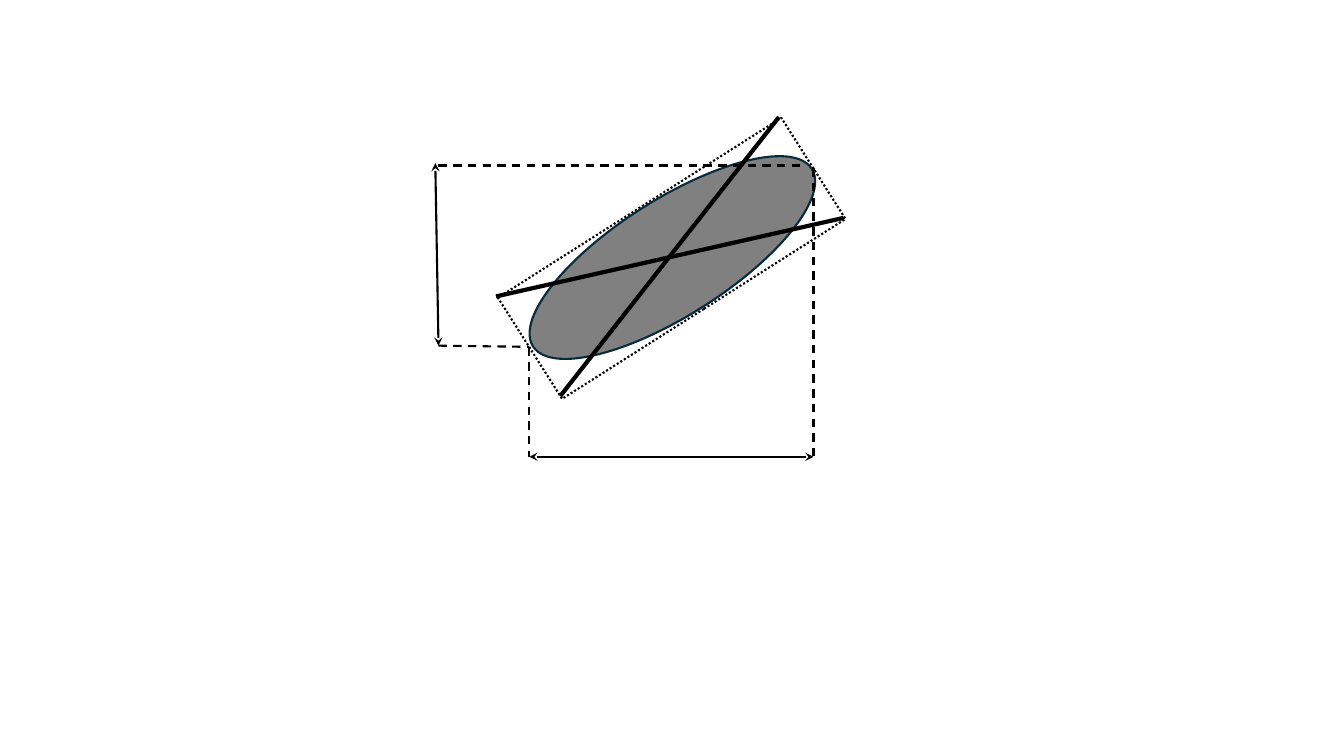
from pptx import Presentation
from pptx.dml.color import RGBColor
from pptx.enum.dml import MSO_LINE
from pptx.enum.shapes import MSO_CONNECTOR, MSO_SHAPE
from pptx.oxml.ns import qn
from pptx.util import Cm, Pt
from lxml.etree import SubElement


def set_line(line, color, width, dash=None):
    line.color.rgb = RGBColor.from_string(color)
    line.width = Pt(width)
    if dash:
        line.dash_style = dash


prs = Presentation()
prs.slide_width, prs.slide_height = Cm(33.87), Cm(19.05)
s = prs.slides.add_slide(prs.slide_layouts[6])

# Tilted bounding box and the ellipse inside it
outlines = [
    (MSO_SHAPE.RECTANGLE, (12.7, 5, 8.46, 3.02), 327.6, None, "000000", MSO_LINE.ROUND_DOT),
    (MSO_SHAPE.OVAL, (12.78, 5.03, 8.33, 2.92), 327.5, "808080", "092A39", None),
]
for kind, box, angle, fill, color, dash in outlines:
    sp = s.shapes.add_shape(kind, *map(Cm, box))
    sp.rotation = angle
    sp.shadow.inherit = False
    if fill:
        sp.fill.solid()
        sp.fill.fore_color.rgb = RGBColor.from_string(fill)
    else:
        sp.fill.background()
    set_line(sp.line, color, 1.5, dash)

# Edges of the projections onto the two axes
left, right, base = 13.34, 20.5, 11.51
axis, top, bottom = 11.05, 4.17, 8.71

diagonal = {"width": 3}
guide = {"width": 1.5, "dash": MSO_LINE.DASH}
arrow = {"width": 1.5}
lines = [
    (12.5, 7.47, 21.26, 5.49, diagonal),
    (14.12, 9.98, 19.63, 2.95, diagonal),
    (left, 8.76, left, base, guide),
    (right, base, left, base, arrow),
    (right, 4.24, right, base, guide),
    (axis, bottom, left, 8.74, guide),
    (axis, top, 20.22, top, guide),
    (10.97, 4.11, axis, bottom, arrow),
]
for *ends, style in lines:
    c = s.shapes.add_connector(MSO_CONNECTOR.STRAIGHT, *map(Cm, ends))
    set_line(c.line, "000000", **style)
    SubElement(c._element.spPr, qn("a:effectLst"))
    if style is arrow:
        for end in ("a:headEnd", "a:tailEnd"):
            SubElement(c.line._get_or_add_ln(), qn(end), type="stealth")

prs.save("out.pptx")
